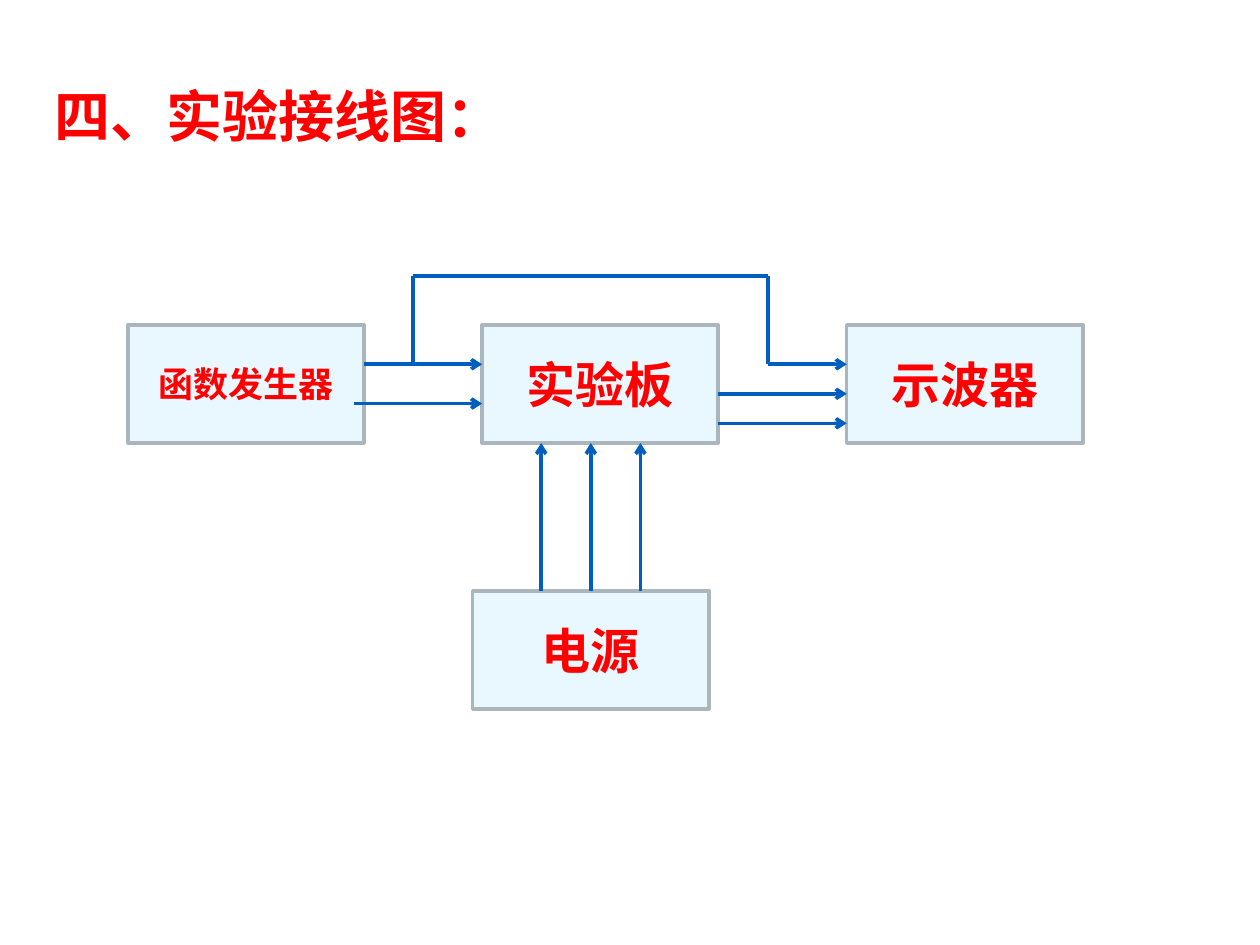
import pptx
import pptx.dml.color
import pptx.enum.shapes
import pptx.enum.text
import pptx.oxml.ns
import pptx.util
from lxml import etree

Cm = pptx.util.Cm
COLOURS = {"text": "FF0000", "block": "E9F7FF", "border": "ABB6BC", "wire": "005FBE"}
FONT = "Noto Sans CJK SC"
BLOCK_WIDTH, BLOCK_HEIGHT = 4.76, 2.38


def colour(name):
    return pptx.dml.color.RGBColor.from_string(COLOURS[name])


def write_text(shape, text, size):
    para = shape.text_frame.paragraphs[0]
    para.text = text
    span = para.runs[0]
    span.font.size = pptx.util.Pt(size)
    span.font.bold = True
    span.font.name = FONT
    span.font.color.rgb = colour("text")
    east_asian = etree.SubElement(span.font._element, pptx.oxml.ns.qn("a:ea"))
    east_asian.set("typeface", FONT)
    return para


def add_title(page, left, top, width, height):
    box = page.shapes.add_textbox(Cm(left), Cm(top), Cm(width), Cm(height))
    box.text_frame.word_wrap = True
    box.text_frame.margin_top = 0
    write_text(box, "四、实验接线图：", 32)


def add_block(page, left, top, text, size):
    block = page.shapes.add_shape(
        pptx.enum.shapes.MSO_SHAPE.RECTANGLE,
        Cm(left), Cm(top), Cm(BLOCK_WIDTH), Cm(BLOCK_HEIGHT))
    block.shadow.inherit = False
    block.fill.solid()
    block.fill.fore_color.rgb = colour("block")
    block.line.color.rgb = colour("border")
    block.line.width = pptx.util.Pt(2)
    block.text_frame.vertical_anchor = pptx.enum.text.MSO_ANCHOR.MIDDLE
    para = write_text(block, text, size)
    para.alignment = pptx.enum.text.PP_ALIGN.CENTER
    return block


def add_wire(page, start, end, arrow=True):
    wire = page.shapes.add_connector(
        pptx.enum.shapes.MSO_CONNECTOR.STRAIGHT,
        Cm(start[0]), Cm(start[1]), Cm(end[0]), Cm(end[1]))
    wire.line.color.rgb = colour("wire")
    wire.line.width = pptx.util.Pt(2)
    if arrow:
        tail = etree.SubElement(wire.line._get_or_add_ln(), pptx.oxml.ns.qn("a:tailEnd"))
        tail.set("type", "arrow")
    etree.SubElement(wire._element.spPr, pptx.oxml.ns.qn("a:effectLst"))
    return wire


def add_wiring_diagram(page, left, top):
    row = top + 0.99
    board_left, scope_left = left + 7.14, left + 14.49
    power_left, power_top = left + 6.95, top + 6.35
    generator_right = left + BLOCK_WIDTH
    board_right = board_left + BLOCK_WIDTH
    board_bottom = row + BLOCK_HEIGHT

    add_block(page, left, row, "函数发生器", 20)
    add_block(page, board_left, row, "实验板", 28)
    add_block(page, scope_left, row, "示波器", 28)
    power = add_block(page, power_left, power_top, "电源", 28)

    signal = row + BLOCK_HEIGHT / 3
    ground = row + BLOCK_HEIGHT * 2 / 3
    add_wire(page, (generator_right, signal), (board_left, signal))
    add_wire(page, (generator_right - 0.2, ground), (board_left, ground))

    for share in (7 / 12, 5 / 6):
        level = row + BLOCK_HEIGHT * share
        add_wire(page, (board_right, level), (scope_left, level))

    for offset in (-1, 0, 1):
        across = power_left + BLOCK_WIDTH / 2 + offset
        supply = add_wire(page, (across, power_top), (across, board_bottom))
        if offset == 0:
            supply.begin_connect(power, 0)

    bypass = [(left + 5.75, signal), (left + 5.75, top),
              (left + 12.9, top), (left + 12.9, signal), (scope_left, signal)]
    for start, end in zip(bypass, bypass[1:]):
        add_wire(page, start, end, arrow=end == bypass[-1])


def main():
    deck = pptx.Presentation()
    deck.slide_width, deck.slide_height = Cm(25.4), Cm(19.05)
    page = deck.slides.add_slide(deck.slide_layouts[6])
    add_title(page, 0.84, 1.65, 23.72, 3.18)
    add_wiring_diagram(page, 2.58, 5.56)
    deck.save("out.pptx")


if __name__ == "__main__":
    main()
